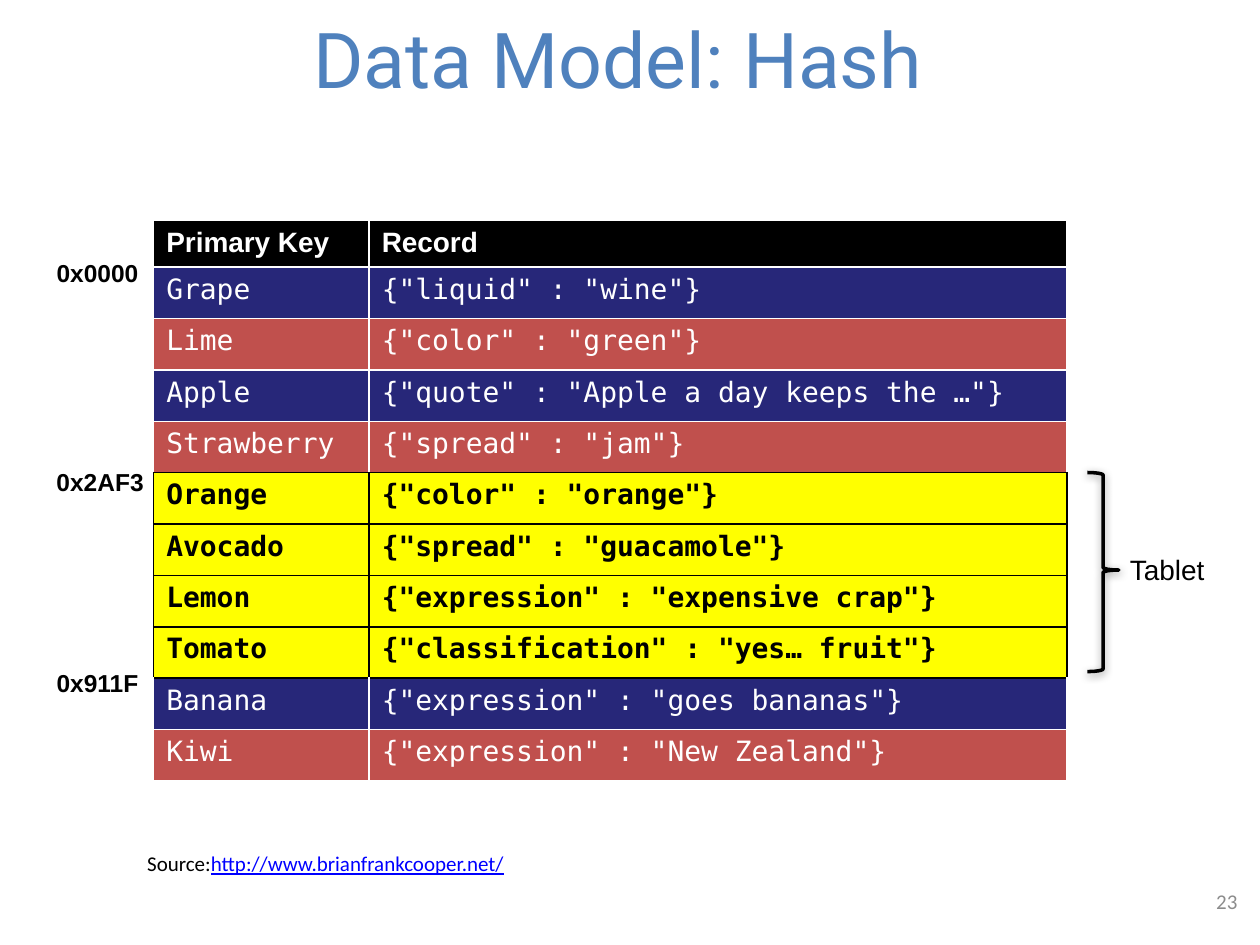
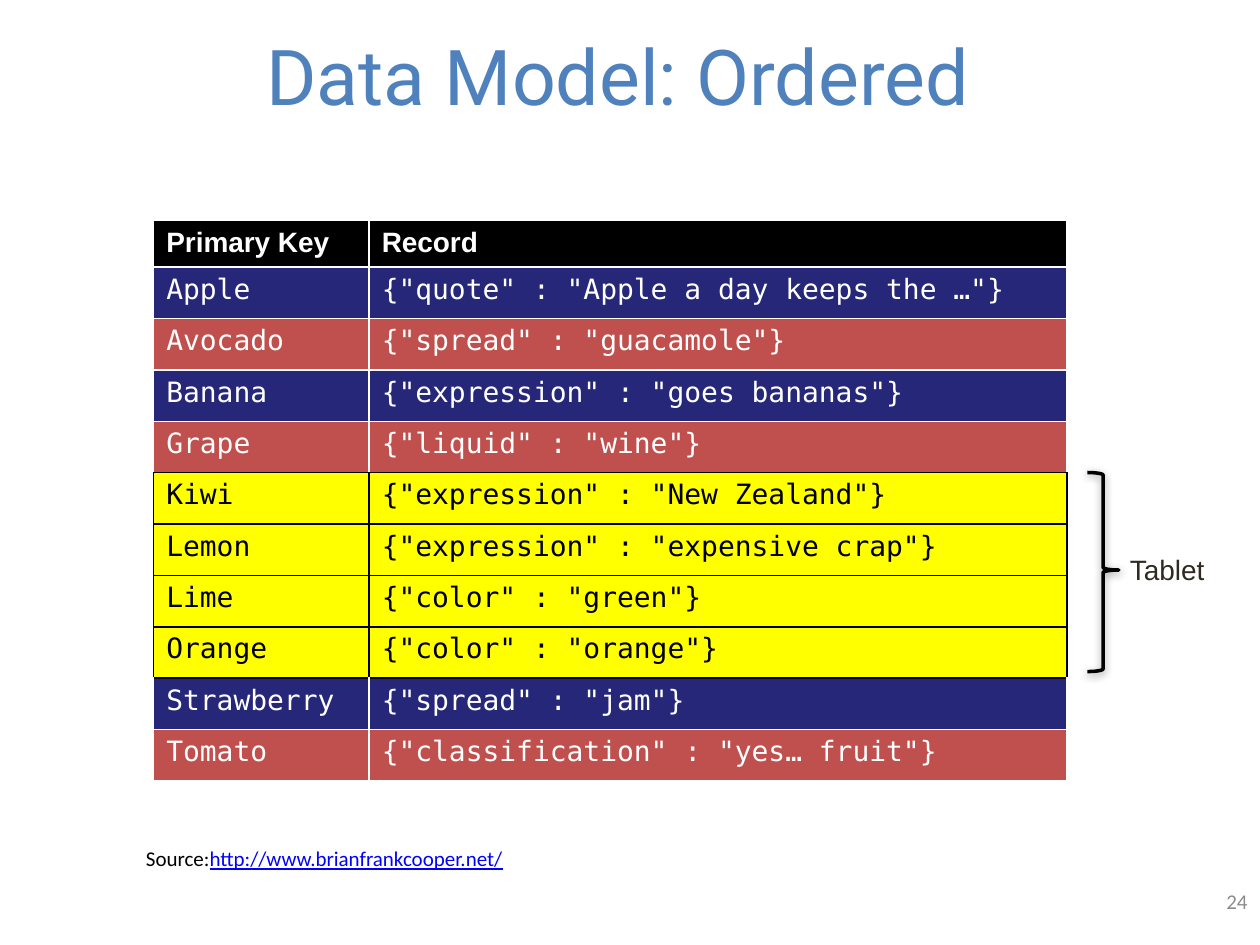
from lxml import etree
from pptx import Presentation
from pptx.dml.color import RGBColor
from pptx.enum.shapes import MSO_SHAPE
from pptx.enum.text import MSO_ANCHOR, MSO_AUTO_SIZE, PP_ALIGN
from pptx.oxml.ns import qn
from pptx.util import Inches, Pt

BLACK, WHITE, YELLOW = "000000", "FFFFFF", "FFFF00"
NAVY, RED, BLUE = "272779", "C0504D", "4F81BD"
LINK, GREY, DARK = "0000FF", "8C8C8C", "2F2B20"
SANS, MONO, TITLE, BODY = "Arial", "DejaVu Sans Mono", "Roboto", "Calibri"

HEADER = ("Primary Key", "Record")
RECORDS = {
    "Grape": '{"liquid" : "wine"}',
    "Lime": '{"color" : "green"}',
    "Apple": '{"quote" : "Apple a day keeps the …"}',
    "Strawberry": '{"spread" : "jam"}',
    "Orange": '{"color" : "orange"}',
    "Avocado": '{"spread" : "guacamole"}',
    "Lemon": '{"expression" : "expensive crap"}',
    "Tomato": '{"classification" : "yes… fruit"}',
    "Banana": '{"expression" : "goes bananas"}',
    "Kiwi": '{"expression" : "New Zealand"}',
}
TABLET_ROWS = range(5, 9)
COLUMN_WIDTHS = (1.71, 5.54)
TABLE_HEIGHT, HEADER_HEIGHT = 4.45, 0.37


def rgb(color):
    return RGBColor.from_string(color)


def child(parent, tag, **attrs):
    el = etree.SubElement(parent, qn(tag))
    for name, value in attrs.items():
        el.set(name, str(value))
    return el


def set_font(font, name, size, color, bold=False):
    font.name, font.size, font.bold = name, Pt(size), bold
    font.color.rgb = rgb(color)


def set_borders(cell, **colors):
    """Draw 1 pt cell edges; keys are L, R, T and B in schema order."""
    tcPr = cell._tc.get_or_add_tcPr()
    for side, color in colors.items():
        ln = child(tcPr, f"a:ln{side}", w=Pt(1))
        child(child(ln, "a:solidFill"), "a:srgbClr", val=color)


class Deck:
    def __init__(self):
        self.prs = Presentation()
        self.prs.slide_width, self.prs.slide_height = Inches(10), Inches(7.5)
        self.slide = None

    def new_slide(self):
        self.slide = self.prs.slides.add_slide(self.prs.slide_layouts[6])

    def text(self, text, x, y, w, h, font, size, color, bold=False,
             align=PP_ALIGN.LEFT, anchor=MSO_ANCHOR.TOP, wrap=False):
        sp = self.slide.shapes.add_textbox(Inches(x), Inches(y), Inches(w), Inches(h))
        tf = sp.text_frame
        tf.word_wrap, tf.vertical_anchor = wrap, anchor
        tf.auto_size = MSO_AUTO_SIZE.NONE if wrap else MSO_AUTO_SIZE.SHAPE_TO_FIT_TEXT
        p = tf.paragraphs[0]
        p.alignment = align
        p.add_run().text = text
        set_font(p.font, font, size, color, bold)
        return p

    def title(self, text, y):
        self.text(text, 0.92, y, 7.97, 1.25, TITLE, 44, BLUE,
                  align=PP_ALIGN.CENTER, wrap=True)

    def page_number(self, number, x):
        self.text(str(number), x, 6.95, 2.33, 0.4, BODY, 12, GREY,
                  align=PP_ALIGN.RIGHT, anchor=MSO_ANCHOR.MIDDLE, wrap=True)

    def source(self, x, y):
        p = self.text("Source:", x, y, 3.06, 0.3, BODY, 12, BLACK)
        r = p.add_run()
        r.text = "http://www.brianfrankcooper.net/"
        r.font.color.rgb = rgb(LINK)
        r.font.underline = True

    def hash_label(self, text, y, w=0.85):
        self.text(text, 0.35, y, w, 0.34, SANS, 14, BLACK, bold=True)

    def tablet_brace(self, color):
        sp = self.slide.shapes.add_shape(
            MSO_SHAPE.RIGHT_BRACE, Inches(8.63), Inches(3.75), Inches(0.25), Inches(1.58))
        sp.adjustments[0], sp.adjustments[1] = 0.083, 0.49
        sp.fill.background()
        sp.line.color.rgb = rgb(BLACK)
        sp.line.width = Pt(2)
        sp.shadow.inherit = False
        effects = sp._element.spPr.find(qn("a:effectLst"))
        shadow = child(effects, "a:outerShdw", blurRad=Pt(5), dist=Pt(1.6),
                       dir=90 * 60000, rotWithShape=0)
        child(child(shadow, "a:srgbClr", val=BLACK), "a:alpha", val=38000)
        self.text("Tablet", 8.87, 4.34, 0.8, 0.37, SANS, 16, color)

    def record_table(self, records, bold_tablet):
        rows = [HEADER, *records]
        table = self.slide.shapes.add_table(
            len(rows), len(HEADER), Inches(1.22), Inches(1.75),
            Inches(sum(COLUMN_WIDTHS)), Inches(TABLE_HEIGHT)).table
        for column, width in zip(table.columns, COLUMN_WIDTHS):
            column.width = Inches(width)
        record_height = (TABLE_HEIGHT - HEADER_HEIGHT) / len(records)
        for i, values in enumerate(rows):
            table.rows[i].height = Inches(record_height if i else HEADER_HEIGHT)
            for j, value in enumerate(values):
                self.fill_cell(table.cell(i, j), i, value, bold_tablet)

    def fill_cell(self, cell, row, value, bold_tablet):
        in_tablet = row in TABLET_ROWS
        if row == 0:
            fill = BLACK
        elif in_tablet:
            fill = YELLOW
        else:
            fill = NAVY if row % 2 else RED
        side, top, bottom = (BLACK if touches else WHITE for touches in (
            in_tablet,
            in_tablet or row - 1 in TABLET_ROWS,
            in_tablet or row + 1 in TABLET_ROWS))
        set_borders(cell, L=side, R=side, T=top, B=bottom)
        cell.fill.solid()
        cell.fill.fore_color.rgb = rgb(fill)
        cell.text = value
        set_font(cell.text_frame.paragraphs[0].font, MONO if row else SANS, 16,
                 BLACK if in_tablet else WHITE,
                 row == 0 or (in_tablet and bold_tablet))


def main():
    deck = Deck()

    deck.new_slide()
    deck.title("Data Model: Hash", 0.04)
    deck.record_table(list(RECORDS.items()), bold_tablet=True)
    deck.tablet_brace(BLACK)
    deck.hash_label("0x0000", 2)
    deck.hash_label("0x2AF3", 3.66, 0.9)
    deck.hash_label("0x911F", 5.25)
    deck.page_number(23, 7.59)
    deck.source(1.07, 6.7)

    deck.new_slide()
    deck.title("Data Model: Ordered", 0.18)
    deck.record_table(sorted(RECORDS.items()), bold_tablet=False)
    deck.tablet_brace(DARK)
    deck.page_number(24, 7.67)
    deck.source(1.06, 6.66)

    deck.prs.save("out.pptx")


if __name__ == "__main__":
    main()
